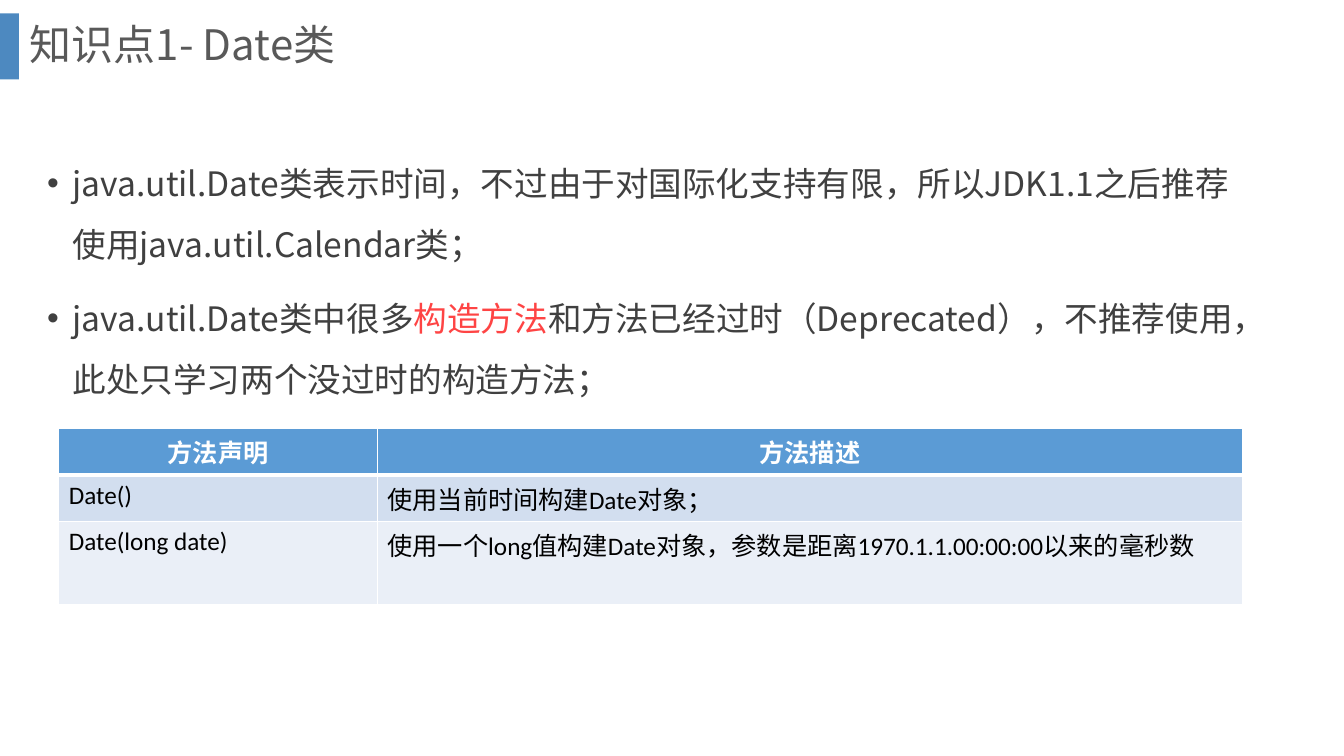
from lxml.etree import SubElement
from pptx import Presentation
from pptx.dml.color import RGBColor
from pptx.enum.shapes import MSO_SHAPE
from pptx.enum.text import MSO_ANCHOR, PP_ALIGN
from pptx.oxml import parse_xml
from pptx.oxml.ns import nsdecls, qn
from pptx.util import Cm, Pt

CJK_FONT = "Noto Sans CJK SC"
TABLE_FONT = "Calibri"


def color(value):
    return RGBColor.from_string(value)


def add_text(paragraph, text, size=24, font=CJK_FONT, fill="404040", bold=False):
    run = paragraph.add_run()
    run.text = text
    run.font.size = Pt(size)
    run.font.name = font
    run.font.bold = bold
    run.font.color.rgb = color(fill)
    east_asian = SubElement(run.font._element, qn("a:ea"))
    east_asian.set("typeface", CJK_FONT)


def set_borders(cell, **widths):
    properties = cell._tc.get_or_add_tcPr()
    for index, (side, width) in enumerate(widths.items()):
        properties.insert(index, parse_xml(
            f'<a:{side} {nsdecls("a")} w="{Pt(width)}"><a:solidFill>'
            f'<a:srgbClr val="FFFFFF"/></a:solidFill></a:{side}>'))


class SlideBuilder:
    accent = "2E75B6"
    header_fill = "5B9BD5"
    band_fills = ("D2DEEF", "EAEFF7")

    def __init__(self, presentation):
        self.slide = presentation.slides.add_slide(presentation.slide_layouts[6])

    def bar(self, left, top, width, height, opacity):
        shape = self.slide.shapes.add_shape(
            MSO_SHAPE.RECTANGLE, Cm(left), Cm(top), Cm(width), Cm(height))
        shape.shadow.inherit = False
        shape.fill.solid()
        shape.fill.fore_color.rgb = color(self.accent)
        shape.line.fill.background()
        fill_color = shape._element.spPr.find(qn("a:solidFill"))[0]
        SubElement(fill_color, qn("a:alpha")).set("val", str(opacity * 1000))

    def text_frame(self, left, top, width, height, anchor=MSO_ANCHOR.TOP):
        box = self.slide.shapes.add_textbox(Cm(left), Cm(top), Cm(width), Cm(height))
        box.text_frame.word_wrap = True
        box.text_frame.vertical_anchor = anchor
        return box.text_frame

    def title(self, text, *bounds):
        paragraph = self.text_frame(*bounds, anchor=MSO_ANCHOR.MIDDLE).paragraphs[0]
        paragraph.line_spacing = 0.9
        add_text(paragraph, text, size=30, fill="595959")

    def bullets(self, items, *bounds):
        frame = self.text_frame(*bounds)
        for index, parts in enumerate(items):
            paragraph = frame.add_paragraph() if index else frame.paragraphs[0]
            paragraph.line_spacing = 1.5
            paragraph.space_before = Pt(10 if index else 0)
            properties = paragraph._p.get_or_add_pPr()
            properties.set("marL", str(Cm(0.64)))
            properties.set("indent", str(-Cm(0.64)))
            SubElement(properties, qn("a:buFont")).set("typeface", "Arial")
            SubElement(properties, qn("a:buChar")).set("char", "•")
            for text, fill in parts:
                add_text(paragraph, text, fill=fill)

    def table(self, rows, left, top, column_widths, row_heights):
        table = self.slide.shapes.add_table(
            len(rows), len(column_widths), Cm(left), Cm(top),
            Cm(sum(column_widths)), Cm(sum(row_heights))).table
        for column, width in zip(table.columns, column_widths):
            column.width = Cm(width)
        for row_index, (values, height) in enumerate(zip(rows, row_heights)):
            table.rows[row_index].height = Cm(height)
            header = row_index == 0
            for column_index, text in enumerate(values):
                cell = table.cell(row_index, column_index)
                cell.fill.solid()
                cell.fill.fore_color.rgb = color(
                    self.header_fill if header else self.band_fills[(row_index - 1) % 2])
                set_borders(cell, lnL=1, lnR=1, lnT=3 if row_index == 1 else 1,
                            lnB=3 if header else 1)
                paragraph = cell.text_frame.paragraphs[0]
                paragraph.alignment = PP_ALIGN.CENTER if header else PP_ALIGN.LEFT
                add_text(paragraph, text, size=18, font=TABLE_FONT, bold=header,
                         fill="FFFFFF" if header else "000000")


def main():
    presentation = Presentation()
    presentation.slide_width = Cm(33.87)
    presentation.slide_height = Cm(19.05)
    builder = SlideBuilder(presentation)

    # Heading
    builder.bar(0, 0.34, 0.48, 1.66, opacity=85)
    builder.title("知识点1- Date类", 0.5, 0, 32.16, 2.36)

    # Key points
    gray, red = "404040", "FE4444"
    builder.bullets([
        [("java.util.Date类表示时间，不过由于对国际化支持有限，"
          "所以JDK1.1之后推荐使用java.util.Calendar类；", gray)],
        [("java.util.Date类中很多", gray), ("构造方法", red),
         ("和方法已经过时（Deprecated），不推荐使用，"
          "此处只学习两个没过时的构造方法；", gray)],
    ], 0.94, 3.48, 30.61, 7.26)

    # Constructors, the last row tall enough for two lines
    builder.table([
        ("方法声明", "方法描述"),
        ("Date()", "使用当前时间构建Date对象；"),
        ("Date(long date)",
         "使用一个long值构建Date对象，参数是距离1970.1.1.00:00:00以来的毫秒数"),
    ], 1.48, 10.8, column_widths=(8.03, 21.8), row_heights=(1.17, 1.17, 2.1))

    presentation.save("out.pptx")


if __name__ == "__main__":
    main()
